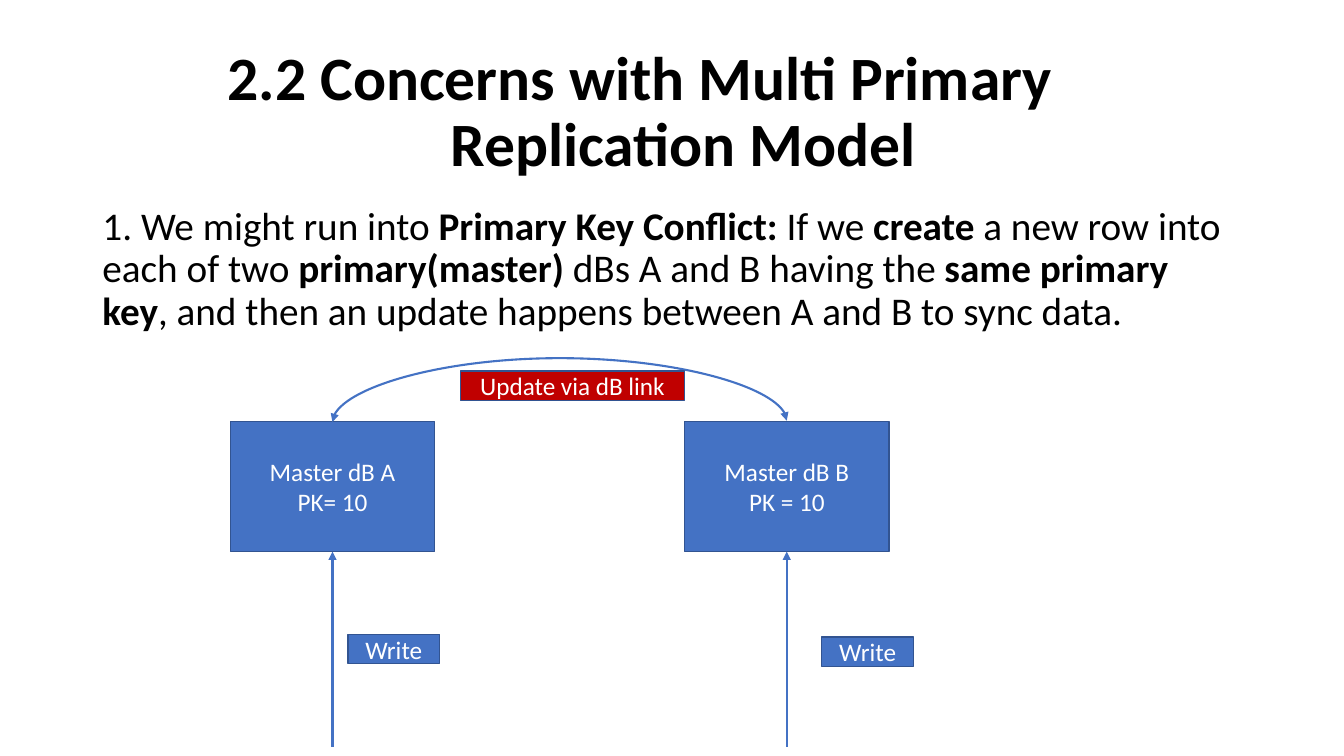
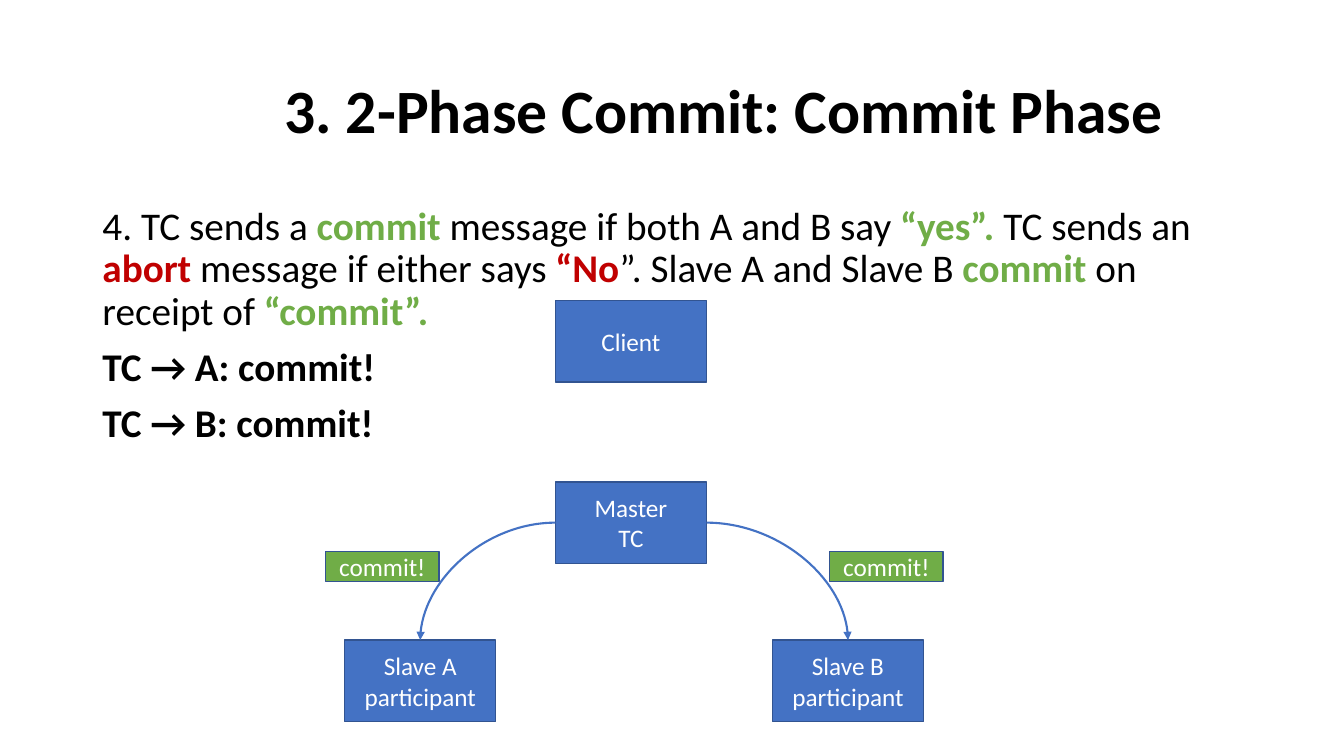
import pptx
import pptx.dml.color
import pptx.enum.shapes
import pptx.enum.text
import pptx.oxml.ns
import pptx.util
from lxml import etree

Pt = pptx.util.Pt
qn = pptx.oxml.ns.qn
ALIGN = pptx.enum.text.PP_ALIGN
ANCHOR = pptx.enum.text.MSO_ANCHOR
CONNECTOR = pptx.enum.shapes.MSO_CONNECTOR

FONT = "Calibri"
BLACK, WHITE = "000000", "FFFFFF"
BLUE, OUTLINE = "4472C4", "325491"
GREEN, RED = "70AD47", "C00000"
TITLE_BOX = (66, 28.8, 828, 104.4)
BODY_BOX = (66, 144, 828, 342.7)
TOP, LEFT, BOTTOM, RIGHT = range(4)  # connection sites of a rectangle


def color(hex_string):
    return pptx.dml.color.RGBColor.from_string(hex_string)


def add_text(paragraph, text, size=18, fill=BLACK, bold=False):
    run = paragraph.add_run()
    run.text = text
    run.font.name = FONT
    run.font.size = Pt(size)
    run.font.bold = bold
    run.font.color.rgb = color(fill)


def paragraphs_for(frame, items):
    """Yield each item with a paragraph of its own."""
    for index, item in enumerate(items):
        yield (frame.add_paragraph() if index else frame.paragraphs[0]), item


def set_indent(paragraph, points):
    """Indent the whole paragraph and switch its bullet off."""
    properties = paragraph._p.get_or_add_pPr()
    properties.set("marL", str(Pt(points)))
    properties.set("indent", "0")
    etree.SubElement(properties, qn("a:buNone"))


def place(shape, box):
    shape.left, shape.top, shape.width, shape.height = map(Pt, box)


def prepare(placeholder, box, anchor):
    place(placeholder, box)
    frame = placeholder.text_frame
    frame.word_wrap = True
    frame.auto_size = pptx.enum.text.MSO_AUTO_SIZE.NONE
    frame.vertical_anchor = anchor
    return frame


def add_content_slide(presentation, title_lines, body):
    """Title lines are (text, indent); body paragraphs are lists of (text, format)."""
    slide = presentation.slides.add_slide(presentation.slide_layouts[1])
    frame = prepare(slide.shapes.title, TITLE_BOX, ANCHOR.MIDDLE)
    for paragraph, (text, indent) in paragraphs_for(frame, title_lines):
        set_indent(paragraph, indent)
        paragraph.alignment = ALIGN.LEFT
        paragraph.line_spacing = 0.9
        add_text(paragraph, text, size=44, bold=True)

    frame = prepare(slide.placeholders[1], BODY_BOX, ANCHOR.TOP)
    for index, (paragraph, runs) in enumerate(paragraphs_for(frame, body)):
        set_indent(paragraph, 0)
        paragraph.line_spacing = 0.9
        paragraph.space_before = Pt(10 if index else 0)
        for text, text_format in runs:
            add_text(paragraph, text, size=28, **text_format)
    return slide


def add_box(slide, box, *lines, fill=BLUE):
    shape = slide.shapes.add_shape(
        pptx.enum.shapes.MSO_SHAPE.RECTANGLE, *map(Pt, box))
    shape.shadow.inherit = False
    shape.fill.solid()
    shape.fill.fore_color.rgb = color(fill)
    shape.line.color.rgb = color(OUTLINE)
    shape.line.width = Pt(1)
    frame = shape.text_frame
    frame.word_wrap = True
    frame.vertical_anchor = ANCHOR.MIDDLE
    for paragraph, line in paragraphs_for(frame, lines):
        paragraph.alignment = ALIGN.CENTER
        add_text(paragraph, line, fill=WHITE)
    return shape


def add_arrow(slide, kind, end, start=None, start_point=(0, 0), both_ends=False):
    """Join (shape, site) pairs, or a free start point and a pair."""
    x, y = map(Pt, start_point)
    connector = slide.shapes.add_connector(kind, x, y, x, y)
    if start:
        connector.begin_connect(*start)
    connector.end_connect(*end)
    connector.line.color.rgb = color(BLUE)
    connector.line.width = Pt(1.5)
    properties = connector._element.spPr
    line = properties.find(qn("a:ln"))
    for tag in ("a:headEnd", "a:tailEnd") if both_ends else ("a:tailEnd",):
        etree.SubElement(line, qn(tag), type="triangle")
    etree.SubElement(properties, qn("a:effectLst"))
    return connector


def add_quarter_curve(slide, start, end):
    connector = add_arrow(slide, CONNECTOR.CURVE, end, start=start)
    geometry = connector._element.spPr.find(qn("a:prstGeom"))
    geometry.set("prst", "curvedConnector2")


def add_arch(slide, first, second, rise):
    """Curve over two boxes of equal top: a one-point-wide connector, turned upright."""
    connector = add_arrow(slide, CONNECTOR.CURVE, (second, TOP),
                          start=(first, TOP), both_ends=True)
    start_x = first.left + first.width // 2
    end_x = second.left + second.width // 2
    span = end_x - start_x
    connector.left = (start_x + end_x - Pt(1)) // 2
    connector.top = first.top - span // 2
    connector.width, connector.height = Pt(1), span
    properties = connector._element.spPr
    for name, value in (("rot", "5400000"), ("flipH", "1"), ("flipV", "1")):
        properties.find(qn("a:xfrm")).set(name, value)
    geometry = properties.find(qn("a:prstGeom"))
    guides = geometry.find(qn("a:avLst"))
    if guides is None:
        guides = etree.SubElement(geometry, qn("a:avLst"))
    etree.SubElement(guides, qn("a:gd"), name="adj1", fmla=f"val {rise * 100000}")


def draw_conflict_diagram(slide, box):
    left, top, width, height = box
    master_width, master_height = 146, 93
    masters = []
    for x, lines, tag_gap, tag_top in (
        (left, ("Master dB A", "PK= 10"), 11, 188),
        (left + width - master_width, ("Master dB B", "PK = 10"), 25, 190),
    ):
        master = add_box(slide, (x, top + 36, master_width, master_height), *lines)
        center = x + master_width / 2
        add_arrow(slide, CONNECTOR.STRAIGHT, (master, BOTTOM),
                  start_point=(center, top + height))
        add_box(slide, (center + tag_gap, top + tag_top, 65.5, 21), "Write")
        masters.append(master)
    add_arch(slide, *masters, rise=46)
    add_box(slide, (left + 164.5, top, 160, 21), "Update via dB link", fill=RED)


def draw_commit_diagram(slide, box):
    left, top, width, height = box
    node_width, node_height = 108, 58.3
    middle = left + 150.5
    right = left + width - node_width
    bottom = top + height - node_height

    def node(x, y, *lines):
        return add_box(slide, (x, y, node_width, node_height), *lines)

    master = node(middle, top + 129.6, "Master", "TC")
    node(middle, top, "Client")
    for x, name, side, tag_left in (
        (left, "Slave A", LEFT, left - 13.6),
        (right, "Slave B", RIGHT, right + 41),
    ):
        slave = node(x, bottom, name, "participant")
        add_quarter_curve(slide, (master, side), (slave, TOP))
        add_box(slide, (tag_left, top + 179.2, 81, 21.6), "commit!", fill=GREEN)


def main():
    presentation = pptx.Presentation()
    presentation.slide_width, presentation.slide_height = Pt(960), Pt(540)
    plain, strong = {}, {"bold": True}
    good = {"bold": True, "fill": GREEN}
    bad = {"bold": True, "fill": RED}

    slide = add_content_slide(
        presentation,
        [("2.2 Concerns with Multi Primary", 89.5), ("Replication Model", 248.5)],
        [[
            ("1. We might run into ", plain),
            ("Primary Key Conflict: ", strong),
            ("If we ", plain),
            ("create", strong),
            (" a new row into each of two ", plain),
            ("primary(master) ", strong),
            ("dBs A and B having the ", plain),
            ("same primary key", strong),
            (", and then an update happens between A and B to sync data.", plain),
        ]])
    draw_conflict_diagram(slide, (164.5, 265, 470.5, 268.5))

    slide = add_content_slide(
        presentation,
        [("3. 2-Phase Commit: Commit Phase", 130)],
        [
            [
                ("4. TC sends a ", plain),
                ("commit", good),
                (" message if both A and B say ", plain),
                ("“yes”. ", good),
                ("TC sends an ", plain),
                ("abort", bad),
                (" message if either says ", plain),
                ("“No", bad),
                ("”. Slave A and Slave B ", plain),
                ("commit", good),
                (" on receipt of ", plain),
                ("“commit”.", good),
            ],
            [("TC → A: commit!", strong)],
            [("TC → B: commit!", strong)],
        ])
    draw_commit_diagram(slide, (246.2, 214.6, 413.5, 300.9))
    presentation.save("out.pptx")


if __name__ == "__main__":
    main()
